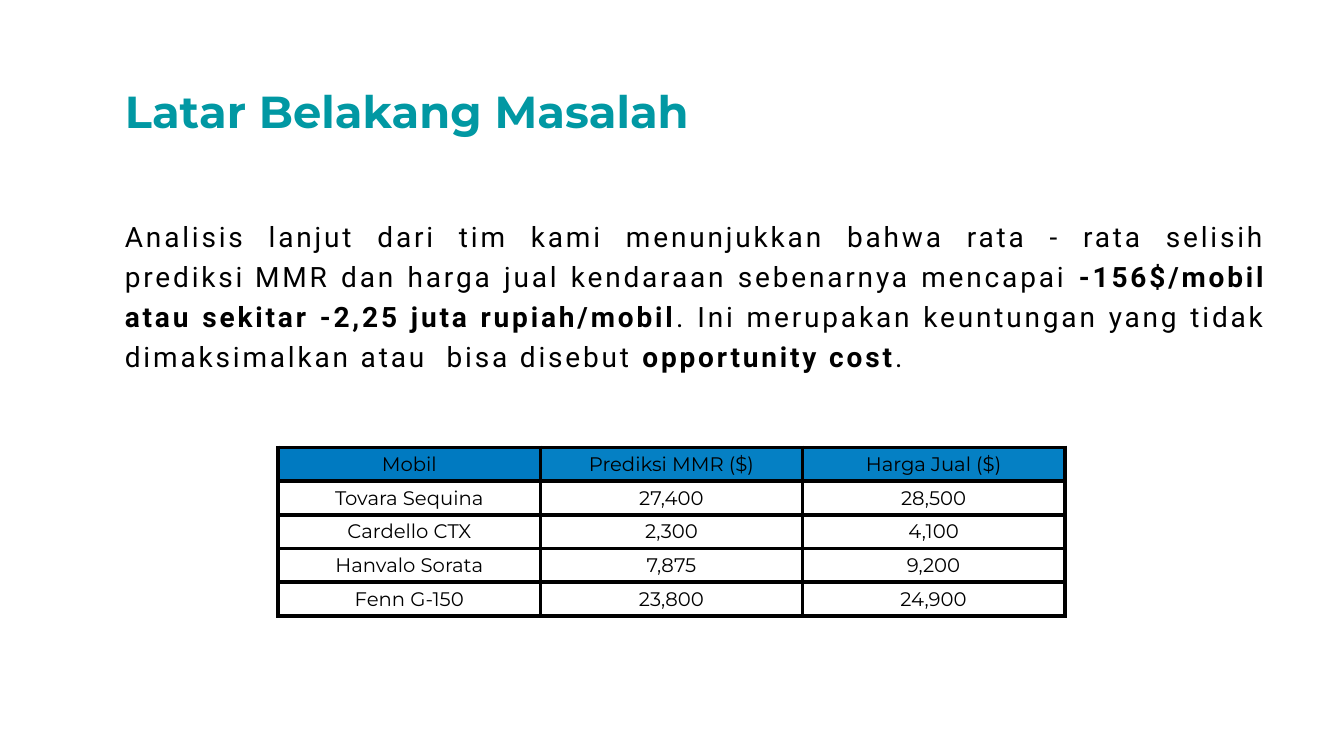
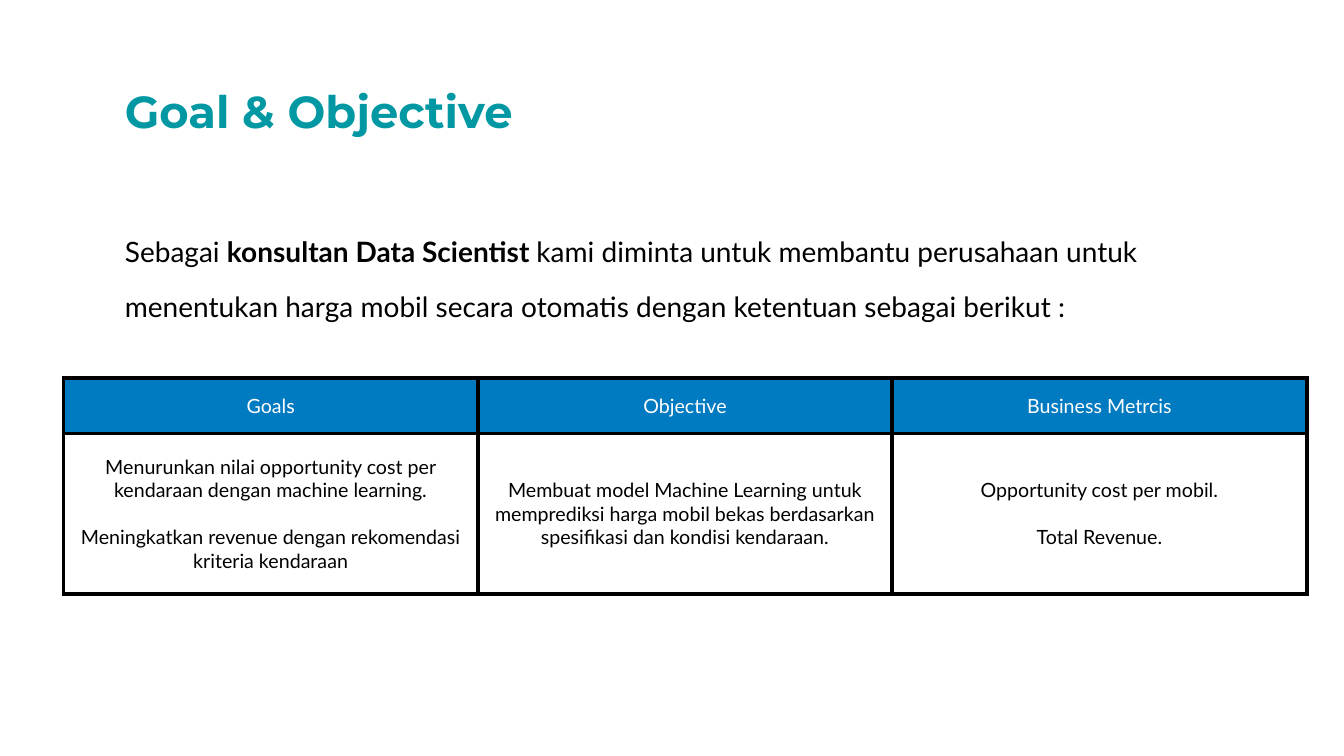
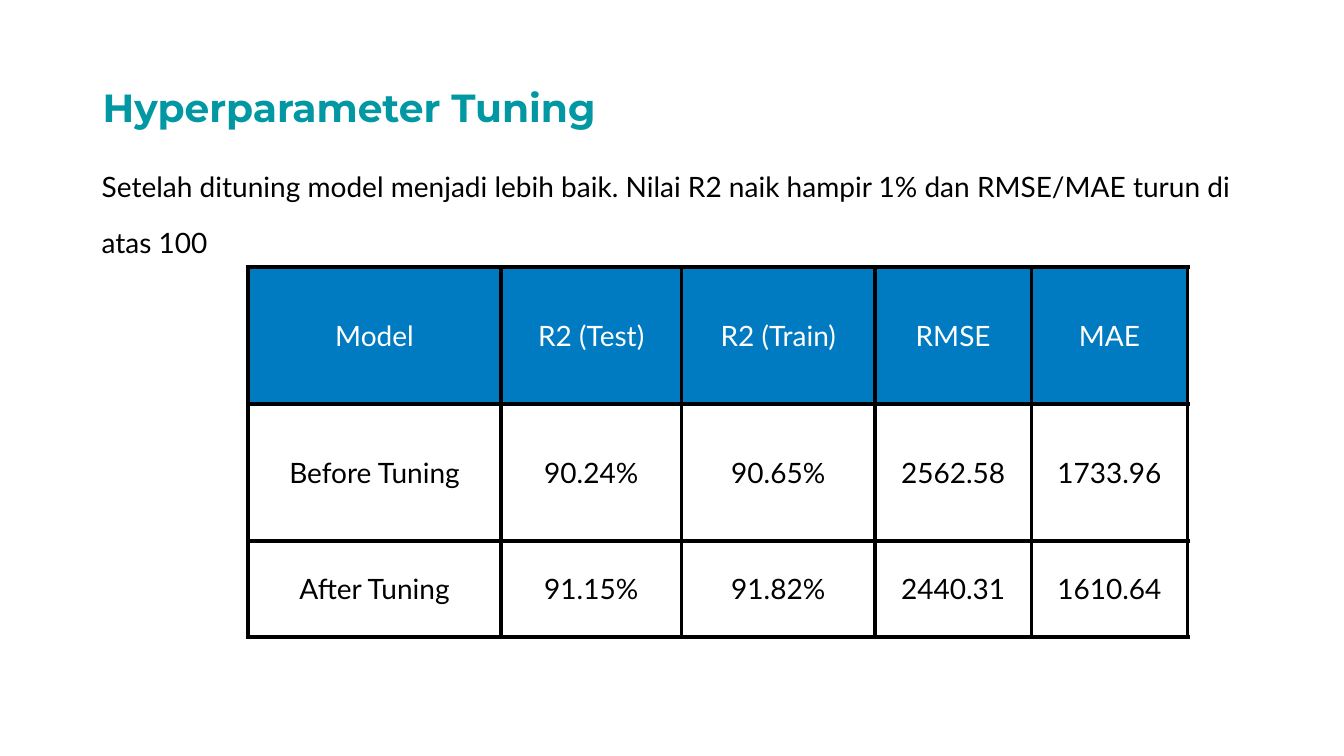
from lxml import etree
from pptx import Presentation
from pptx.dml.color import RGBColor
from pptx.enum.text import MSO_ANCHOR, PP_ALIGN
from pptx.oxml.ns import qn
from pptx.util import Inches, Pt

LEFT, CENTER, JUSTIFY = PP_ALIGN.LEFT, PP_ALIGN.CENTER, PP_ALIGN.JUSTIFY
TOP, MIDDLE = MSO_ANCHOR.TOP, MSO_ANCHOR.MIDDLE
COLORS = {"title": "0198A3", "text": "000000", "light": "FFFFFF", "border": "000000",
          "header": "007AC1", "header_alt": "0580C4"}
TITLE_FONT = "Montserrat"
BODY_SIZE = 20
BORDER_WIDTH = Pt(3)
NO_BREAK_SPACE = chr(160)

# Runs are (text, bold); a table cell holds one string or a tuple of paragraphs.
SLIDES = [
    {
        "title": {"text": "Latar Belakang Masalah", "box": (1.14, 0.77, 8.04, 0.66), "size": 32},
        "body": {
            "box": (1.14, 2.06, 11.52, 1.73), "font": "Roboto", "align": JUSTIFY,
            "line_spacing": Pt(28.7), "letter_spacing": 2,
            "runs": [
                ("Analisis lanjut dari tim kami menunjukkan bahwa rata - rata selisih "
                 f"prediksi{NO_BREAK_SPACE}MMR dan harga jual kendaraan sebenarnya mencapai ",
                 False),
                ("-156$/mobil atau sekitar -2,25 juta rupiah/mobil", True),
                (". Ini merupakan keuntungan yang tidak dimaksimalkan atau  bisa disebut ", False),
                ("opportunity cost", True),
                (".", False),
            ],
        },
        "table": {
            "origin": (2.76, 4.44), "columns": [2.6] * 3, "rows": [0.33] * 5,
            "font": "Montserrat", "size": 14, "anchor": TOP, "header_color": "text",
            "header_fills": ["header", "header_alt", "header_alt"],
            "cells": [
                ["Mobil", "Prediksi MMR ($)", "Harga Jual ($)"],
                ["Tovara Sequina", "27,400", "28,500"],
                ["Cardello CTX", "2,300", "4,100"],
                ["Hanvalo Sorata", "7,875", "9,200"],
                ["Fenn G-150", "23,800", "24,900"],
            ],
        },
    },
    {
        "title": {"text": "Goal & Objective", "box": (1.14, 0.77, 8.04, 0.66), "size": 32},
        "body": {
            "box": (1.14, 2.06, 11.52, 1.21), "font": "Lato", "align": LEFT,
            "line_spacing": 1.65, "letter_spacing": 0,
            "runs": [
                ("Sebagai ", False),
                ("konsultan Data Scientist ", True),
                ("kami diminta untuk membantu perusahaan untuk menentukan harga mobil secara "
                 "otomatis dengan ketentuan sebagai berikut :", False),
            ],
        },
        "table": {
            "origin": (0.63, 3.75), "columns": [4.11] * 3, "rows": [0.55, 1.59],
            "font": "Lato", "size": 14, "anchor": MIDDLE, "header_color": "light",
            "header_fills": ["header"] * 3,
            "cells": [
                ["Goals", "Objective", "Business Metrcis"],
                [("Menurunkan nilai opportunity cost per kendaraan dengan machine learning.",
                  "Meningkatkan revenue dengan rekomendasi kriteria kendaraan"),
                 "Membuat model Machine Learning untuk memprediksi harga mobil bekas "
                 "berdasarkan spesifikasi dan kondisi kendaraan.",
                 ("Opportunity cost per mobil.", "Total Revenue.")],
            ],
        },
    },
    {
        "title": {"text": "Hyperparameter Tuning", "box": (0.92, 0.76, 12.41, 0.59), "size": 28},
        "body": {
            "box": (0.91, 1.42, 11.52, 1.21), "font": "Lato", "align": LEFT,
            "line_spacing": 1.65, "letter_spacing": 0,
            "runs": [("Setelah dituning model menjadi lebih baik. Nilai R2 naik hampir 1% dan "
                      "RMSE/MAE turun di atas 100", False)],
        },
        "table": {
            "origin": (2.46, 2.65), "columns": [2.51, 1.79, 1.92, 1.55, 1.55],
            "rows": [1.36, 1.36, 0.95],
            "font": "Lato", "size": 20, "anchor": MIDDLE, "header_color": "light",
            "header_fills": ["header"] * 5,
            "cells": [
                ["Model", "R2 (Test)", "R2 (Train)", "RMSE", "MAE"],
                ["Before Tuning", "90.24%", "90.65%", "2562.58", "1733.96"],
                ["After Tuning", "91.15%", "91.82%", "2440.31", "1610.64"],
            ],
        },
    },
]


def color(name):
    return RGBColor.from_string(COLORS[name])


def style_run(run, font_name, size, color_name, bold=False):
    run.font.name = font_name
    run.font.size = Pt(size)
    run.font.bold = bold
    run.font.color.rgb = color(color_name)


def add_text_paragraph(slide, box):
    """Add a wrapping text box and return its first paragraph."""
    text_frame = slide.shapes.add_textbox(*map(Inches, box)).text_frame
    text_frame.word_wrap = True
    return text_frame.paragraphs[0]


def add_title(slide, title):
    paragraph = add_text_paragraph(slide, title["box"])
    paragraph.text = title["text"]
    paragraph.line_spacing = 1.03
    style_run(paragraph.runs[0], TITLE_FONT, title["size"], "title", bold=True)


def add_body(slide, body):
    paragraph = add_text_paragraph(slide, body["box"])
    paragraph.alignment = body["align"]
    paragraph.line_spacing = body["line_spacing"]
    for text, bold in body["runs"]:
        run = paragraph.add_run()
        run.text = text
        style_run(run, body["font"], BODY_SIZE, "text", bold)
        if body["letter_spacing"]:
            run.font._element.set("spc", str(body["letter_spacing"] * 100))


def add_borders(cell):
    properties = cell._tc.get_or_add_tcPr()
    for index, side in enumerate(("a:lnL", "a:lnR", "a:lnT", "a:lnB")):
        line = etree.Element(qn(side), w=str(BORDER_WIDTH))
        fill = etree.SubElement(line, qn("a:solidFill"))
        etree.SubElement(fill, qn("a:srgbClr"), val=COLORS["border"])
        properties.insert(index, line)


def fill_cell(cell, content, table_data, color_name):
    paragraphs = (content,) if isinstance(content, str) else content
    cell.text_frame.text = "\n".join(paragraphs)
    cell.vertical_anchor = table_data["anchor"]
    for index, paragraph in enumerate(cell.text_frame.paragraphs):
        paragraph.alignment = CENTER
        if index:
            paragraph.space_before = Pt(1.2 * table_data["size"])
        style_run(paragraph.runs[0], table_data["font"], table_data["size"], color_name)


def add_data_table(slide, table_data):
    widths, heights = table_data["columns"], table_data["rows"]
    bounds = (*table_data["origin"], sum(widths), sum(heights))
    table = slide.shapes.add_table(len(heights), len(widths), *map(Inches, bounds)).table
    table.first_row = table.horz_banding = False
    for column, width in zip(table.columns, widths):
        column.width = Inches(width)
    for row, height in zip(table.rows, heights):
        row.height = Inches(height)
    for row_index, contents in enumerate(table_data["cells"]):
        is_header = row_index == 0
        for column_index, content in enumerate(contents):
            cell = table.cell(row_index, column_index)
            fill_cell(cell, content, table_data,
                      table_data["header_color"] if is_header else "text")
            if is_header:
                cell.fill.solid()
                cell.fill.fore_color.rgb = color(table_data["header_fills"][column_index])
            else:
                cell.fill.background()
            add_borders(cell)


def main():
    presentation = Presentation()
    presentation.slide_width = Inches(13.33)
    presentation.slide_height = Inches(7.5)
    blank_layout = presentation.slide_layouts[6]
    for content in SLIDES:
        slide = presentation.slides.add_slide(blank_layout)
        add_body(slide, content["body"])
        add_title(slide, content["title"])
        add_data_table(slide, content["table"])
    presentation.save("out.pptx")


if __name__ == "__main__":
    main()
